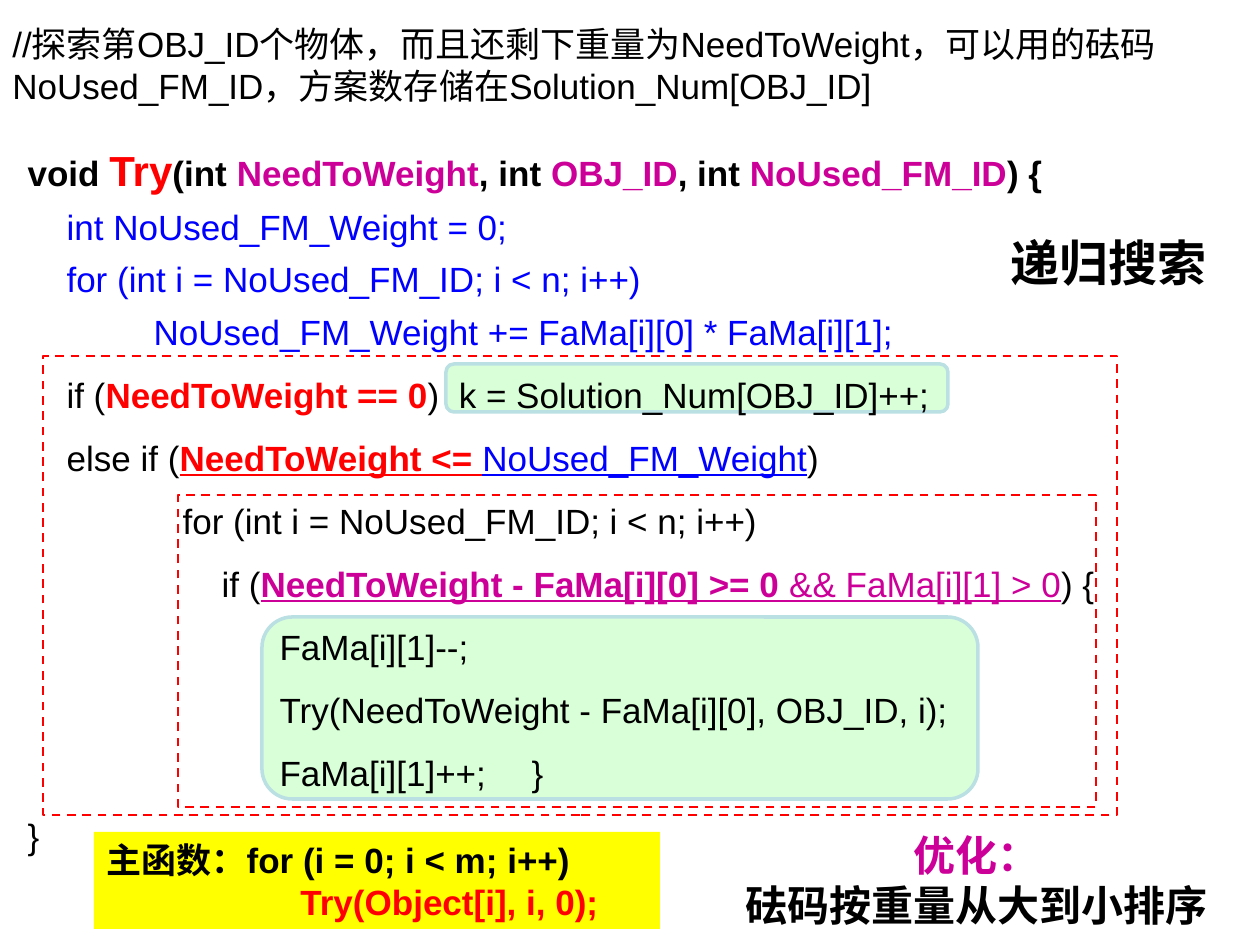
from dataclasses import dataclass

from lxml import etree
from pptx import Presentation
from pptx.dml.color import RGBColor
from pptx.enum.dml import MSO_LINE
from pptx.enum.shapes import MSO_SHAPE
from pptx.enum.text import MSO_ANCHOR, MSO_AUTO_SIZE, PP_ALIGN
from pptx.oxml.ns import qn
from pptx.util import Emu, Pt

RECTANGLE = MSO_SHAPE.RECTANGLE
ROUNDED = MSO_SHAPE.ROUNDED_RECTANGLE
DASH = MSO_LINE.DASH
TOP = MSO_ANCHOR.TOP
NO_AUTOFIT = MSO_AUTO_SIZE.NONE
LEFT, CENTER = PP_ALIGN.LEFT, PP_ALIGN.CENTER
EMU_PER_PX = 914400 / 126


@dataclass(frozen=True)
class Theme:
    font: str = "Arial"
    black: str = "000000"
    red: str = "FF0000"
    blue: str = "0000FF"
    magenta: str = "CC0099"
    yellow: str = "FFFF00"
    mint: str = "CCFFCC"
    mint_edge: str = "BBE0E3"
    mint_alpha: int = 74
    code: int = 20
    emphasis: int = 24
    title: int = 28
    frame_width: float = 1.25
    panel_width: float = 2


THEME = Theme()


@dataclass(frozen=True)
class Ink:
    colour: str = THEME.black
    bold: bool = False
    underline: bool = False
    size: int = THEME.code


@dataclass(frozen=True)
class Line:
    spans: list
    indent: int = 0
    spacing: float = 1.0
    align: PP_ALIGN = LEFT


PLAIN = Ink()
STRONG = Ink(bold=True)
BLUE = Ink(THEME.blue)
RED = Ink(THEME.red, bold=True)
MAGENTA = Ink(THEME.magenta, bold=True)
RED_LINK = Ink(THEME.red, bold=True, underline=True)
BLUE_LINK = Ink(THEME.blue, underline=True)
MAGENTA_LINK = Ink(THEME.magenta, bold=True, underline=True)
MAGENTA_LIGHT = Ink(THEME.magenta, underline=True)
FUNCTION = Ink(THEME.red, bold=True, size=THEME.emphasis)
HEADING = Ink(bold=True, size=THEME.title)
TIP_HEAD = Ink(THEME.magenta, bold=True, size=THEME.emphasis)
TIP = Ink(bold=True, size=THEME.emphasis)


def px(length):
    return Emu(round(length * EMU_PER_PX))


class CodeSlide:
    def __init__(self, deck, theme):
        self.theme = theme
        self.page = deck.slides.add_slide(deck.slide_layouts[1])

    def frame(self, area):
        box = self.page.shapes.add_shape(RECTANGLE, *map(px, area))
        box.shadow.inherit = False
        box.fill.background()
        box.line.color.rgb = RGBColor.from_string(self.theme.red)
        box.line.width = Pt(self.theme.frame_width)
        box.line.dash_style = DASH

    def panel(self, area):
        box = self.page.shapes.add_shape(ROUNDED, *map(px, area))
        box.shadow.inherit = False
        box.fill.solid()
        box.fill.fore_color.rgb = RGBColor.from_string(self.theme.mint)
        colour = box.element.spPr.find(qn("a:solidFill"))[0]
        etree.SubElement(colour, qn("a:alpha"), val=str(self.theme.mint_alpha * 1000))
        box.line.color.rgb = RGBColor.from_string(self.theme.mint_edge)
        box.line.width = Pt(self.theme.panel_width)

    def label(self, area, lines, wrap=True):
        self.set_lines(self.page.shapes.add_textbox(*map(px, area)), lines, wrap)

    def callout(self, area, lines):
        box = self.page.shapes.add_shape(RECTANGLE, *map(px, area))
        box.shadow.inherit = False
        box.fill.solid()
        box.fill.fore_color.rgb = RGBColor.from_string(self.theme.yellow)
        box.line.fill.background()
        self.set_lines(box, lines)

    def title(self, area, lines):
        self.place(self.page.shapes.title, area, lines, wrap=False)

    def body(self, area, lines):
        self.place(self.page.placeholders[1], area, lines)

    def place(self, box, area, lines, wrap=True):
        box.left, box.top, box.width, box.height = map(px, area)
        box.element.getparent().append(box.element)
        self.set_lines(box, lines, wrap)

    def set_lines(self, box, lines, wrap=True):
        frame = box.text_frame
        frame.word_wrap = wrap
        frame.auto_size = NO_AUTOFIT
        frame.vertical_anchor = TOP
        for index, line in enumerate(lines):
            para = frame.add_paragraph() if index else frame.paragraphs[0]
            self.paragraph(para, line)

    def paragraph(self, para, line):
        properties = para._p.get_or_add_pPr()
        properties.set("marL", str(px(line.indent)))
        properties.set("indent", "0")
        etree.SubElement(properties, qn("a:buNone"))
        para.alignment = line.align
        para.line_spacing = line.spacing
        para.space_before = para.space_after = Pt(0)
        para.font.name = self.theme.font
        for text, ink in line.spans:
            span = para.add_run()
            span.text = text
            span.font.name = self.theme.font
            span.font.size = Pt(ink.size)
            span.font.bold = ink.bold
            span.font.underline = ink.underline
            span.font.color.rgb = RGBColor.from_string(ink.colour)


SIGNATURE = [
    ("void ", STRONG), ("Try", FUNCTION), ("(int ", STRONG),
    ("NeedToWeight", MAGENTA), (", int ", STRONG), ("OBJ_ID", MAGENTA),
    (", int ", STRONG), ("NoUsed_FM_ID", MAGENTA), (") {", STRONG),
]
SUM_LINES = [
    (39, "int NoUsed_FM_Weight = 0;"),
    (39, "for (int i = NoUsed_FM_ID; i < n; i++)"),
    (126, "NoUsed_FM_Weight += FaMa[i][0] * FaMa[i][1];"),
]
SEARCH_LINES = [
    (39, [("if (", PLAIN), ("NeedToWeight == 0", RED),
          (")  k = Solution_Num[OBJ_ID]++;", PLAIN)]),
    (39, [("else if (", PLAIN), ("NeedToWeight <= ", RED_LINK),
          ("NoUsed_FM_Weight", BLUE_LINK), (")", PLAIN)]),
    (155, [("for (int i = NoUsed_FM_ID; i < n; i++)", PLAIN)]),
    (194, [("if (", PLAIN), ("NeedToWeight - FaMa[i][0] >= 0 ", MAGENTA_LINK),
           ("&& FaMa[i][1] > 0", MAGENTA_LIGHT), (") {", PLAIN)]),
    (252, [("FaMa[i][1]--;", PLAIN)]),
    (252, [("Try(NeedToWeight - FaMa[i][0], OBJ_ID, i);", PLAIN)]),
    (252, [("FaMa[i][1]++;\t}", PLAIN)]),
    (0, [("}", PLAIN)]),
]
COMMENT = ("//探索第OBJ_ID个物体，而且还剩下重量为NeedToWeight，"
           "可以用的砝码NoUsed_FM_ID，方案数存储在Solution_Num[OBJ_ID]")


def main():
    deck = Presentation()
    deck.slide_width, deck.slide_height = px(1260), px(945)
    slide = CodeSlide(deck, THEME)
    slide.frame((178, 495, 918, 312))
    slide.frame((43, 356, 1074, 459))
    slide.panel((446, 364, 502, 48))
    slide.panel((262, 617, 716, 182))
    slide.label((0, 16, 1234, 97), [Line([(COMMENT, PLAIN)])])
    slide.callout((94, 832, 566, 97), [
        Line([("主函数：for (i = 0; i < m; i++)", STRONG)]),
        Line([("Try(Object[i], i, 0);", RED)], indent=194),
    ])
    slide.body((15, 113, 1245, 757), [
        Line(SIGNATURE, spacing=1.5),
        *[Line([(text, BLUE)], indent, 1.25) for indent, text in SUM_LINES],
        *[Line(spans, indent, 1.5) for indent, spans in SEARCH_LINES],
    ])
    slide.title((998, 226, 224, 72), [Line([("递归搜索", HEADING)])])
    slide.label((730, 823, 494, 115), [
        Line([("优化：", TIP_HEAD)], align=CENTER),
        Line([("砝码按重量从大到小排序", TIP)], align=CENTER),
    ], wrap=False)
    deck.save("out.pptx")


if __name__ == "__main__":
    main()
